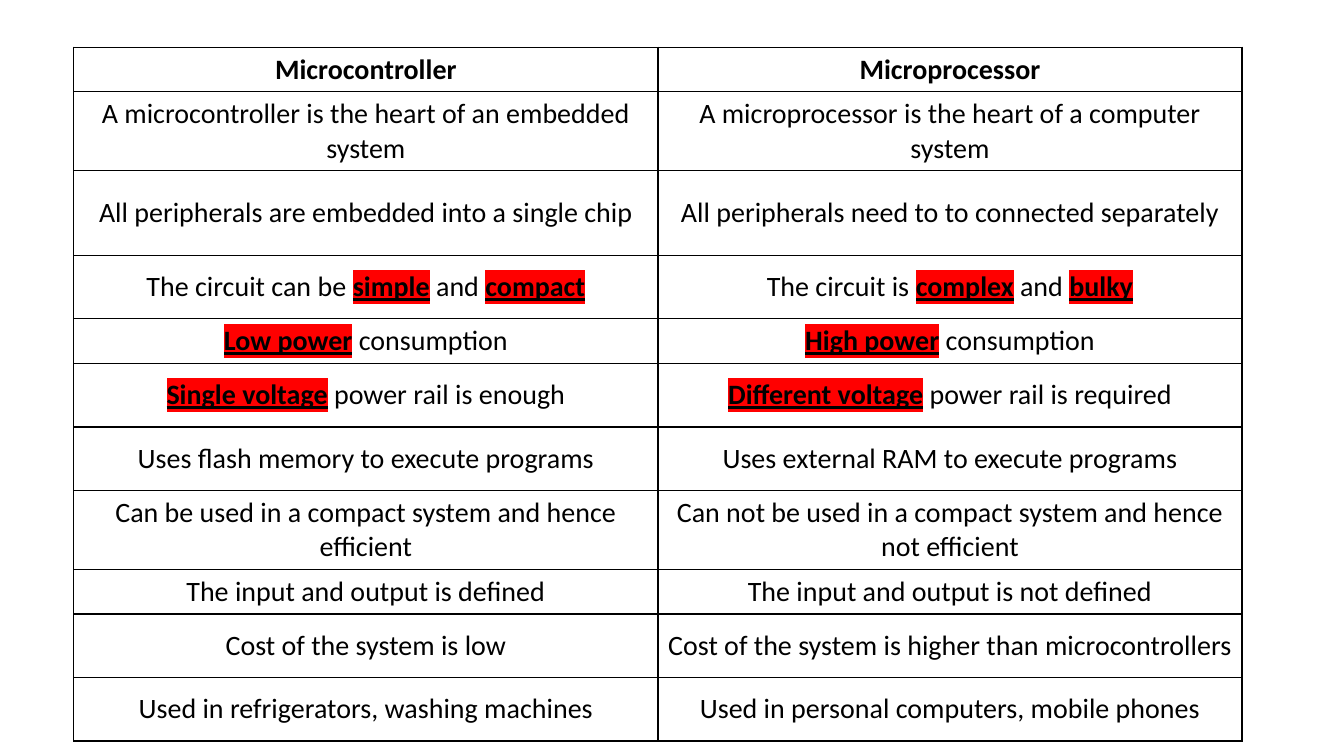
from dataclasses import dataclass

from lxml.etree import SubElement
from pptx import Presentation
from pptx.dml.color import RGBColor
from pptx.enum.text import MSO_ANCHOR as Anchor, PP_ALIGN as Align
from pptx.oxml.ns import qn
from pptx.util import Cm, Pt

BLACK = RGBColor(0x00, 0x00, 0x00)
WHITE = RGBColor(0xFF, 0xFF, 0xFF)
RED = RGBColor(0xFF, 0x00, 0x00)
FONT = "Calibri"
MARK = "*"
LEFT, TOP, COLUMN_WIDTH = 1.86, 1.19, 14.72
CELL_MARGIN = 0.13
ONE_LINE, SPACED, TWO_LINES, TALL = 1.09, 1.6, 1.91, 2.13


@dataclass(frozen=True)
class Comparison:
    height: float
    controller: str
    processor: str
    bold: bool = False


COMPARISONS = [
    Comparison(ONE_LINE, "Microcontroller", "Microprocessor", bold=True),
    Comparison(TWO_LINES, "A microcontroller is the heart of an embedded system",
               "A microprocessor is the heart of a computer system"),
    Comparison(TALL, "All peripherals are embedded into a single chip",
               "All peripherals need to to connected separately"),
    Comparison(SPACED, "The circuit can be *simple* and *compact*",
               "The circuit is *complex* and *bulky*"),
    Comparison(ONE_LINE, "*Low power* consumption", "*High power* consumption"),
    Comparison(SPACED, "*Single voltage* power rail is enough",
               "*Different voltage* power rail is required"),
    Comparison(SPACED, "Uses flash memory to execute programs",
               "Uses external RAM to execute programs"),
    Comparison(TWO_LINES, "Can be used in a compact system and hence efficient",
               "Can not be used in a compact system and hence not efficient"),
    Comparison(ONE_LINE, "The input and output is defined",
               "The input and output is not defined"),
    Comparison(SPACED, "Cost of the system is low",
               "Cost of the system is higher than microcontrollers"),
    Comparison(SPACED, "Used in refrigerators, washing machines",
               "Used in personal computers, mobile phones"),
]


def add_solid_fill(parent, color: RGBColor) -> None:
    fill = SubElement(parent, qn("a:solidFill"))
    SubElement(fill, qn("a:srgbClr"), val=str(color))


def add_text(p, text: str, *, size: float = 20, bold: bool = False,
             underline: bool = False, color: RGBColor = BLACK,
             highlight: RGBColor | None = None) -> None:
    r = p.add_run()
    r.text = text
    font = r.font
    font.name, font.size = FONT, Pt(size)
    font.bold, font.underline = bold, underline
    font.color.rgb = color
    if highlight is not None:
        props = r._r.get_or_add_rPr()
        hl = SubElement(props, qn("a:highlight"))
        SubElement(hl, qn("a:srgbClr"), val=str(highlight))
        props.find(qn("a:latin")).addprevious(hl)


def add_borders(cell, *, color: RGBColor = BLACK, width: float = 1) -> None:
    props = cell._tc.get_or_add_tcPr()
    for side in ("lnL", "lnR", "lnT", "lnB"):
        line = SubElement(props, qn(f"a:{side}"), w=str(Pt(width)))
        add_solid_fill(line, color)


def fill_cell(cell, text: str, bold: bool) -> None:
    add_borders(cell)
    cell.fill.solid()
    cell.fill.fore_color.rgb = WHITE
    cell.vertical_anchor = Anchor.MIDDLE
    cell.margin_left = cell.margin_right = Cm(CELL_MARGIN)
    cell.margin_top = cell.margin_bottom = Cm(CELL_MARGIN)
    p = cell.text_frame.paragraphs[0]
    p.alignment = Align.CENTER
    for i, part in enumerate(text.split(MARK)):
        marked = i % 2 == 1
        if part:
            add_text(p, part, bold=bold or marked, underline=marked,
                     highlight=RED if marked else None)


def add_comparison_table(s, comparisons: list[Comparison]) -> None:
    height = sum(c.height for c in comparisons)
    table = s.shapes.add_table(len(comparisons), 2, Cm(LEFT), Cm(TOP),
                               Cm(2 * COLUMN_WIDTH), Cm(height)).table
    table.first_row = table.horz_banding = False
    for column in table.columns:
        column.width = Cm(COLUMN_WIDTH)
    for row, comparison in zip(table.rows, comparisons):
        row.height = Cm(comparison.height)
        for cell, text in zip(row.cells, (comparison.controller, comparison.processor)):
            fill_cell(cell, text, comparison.bold)


def main() -> None:
    prs = Presentation()
    prs.slide_width, prs.slide_height = Cm(33.87), Cm(19.05)
    s = prs.slides.add_slide(prs.slide_layouts[6])
    add_comparison_table(s, COMPARISONS)
    prs.save("out.pptx")


if __name__ == "__main__":
    main()
